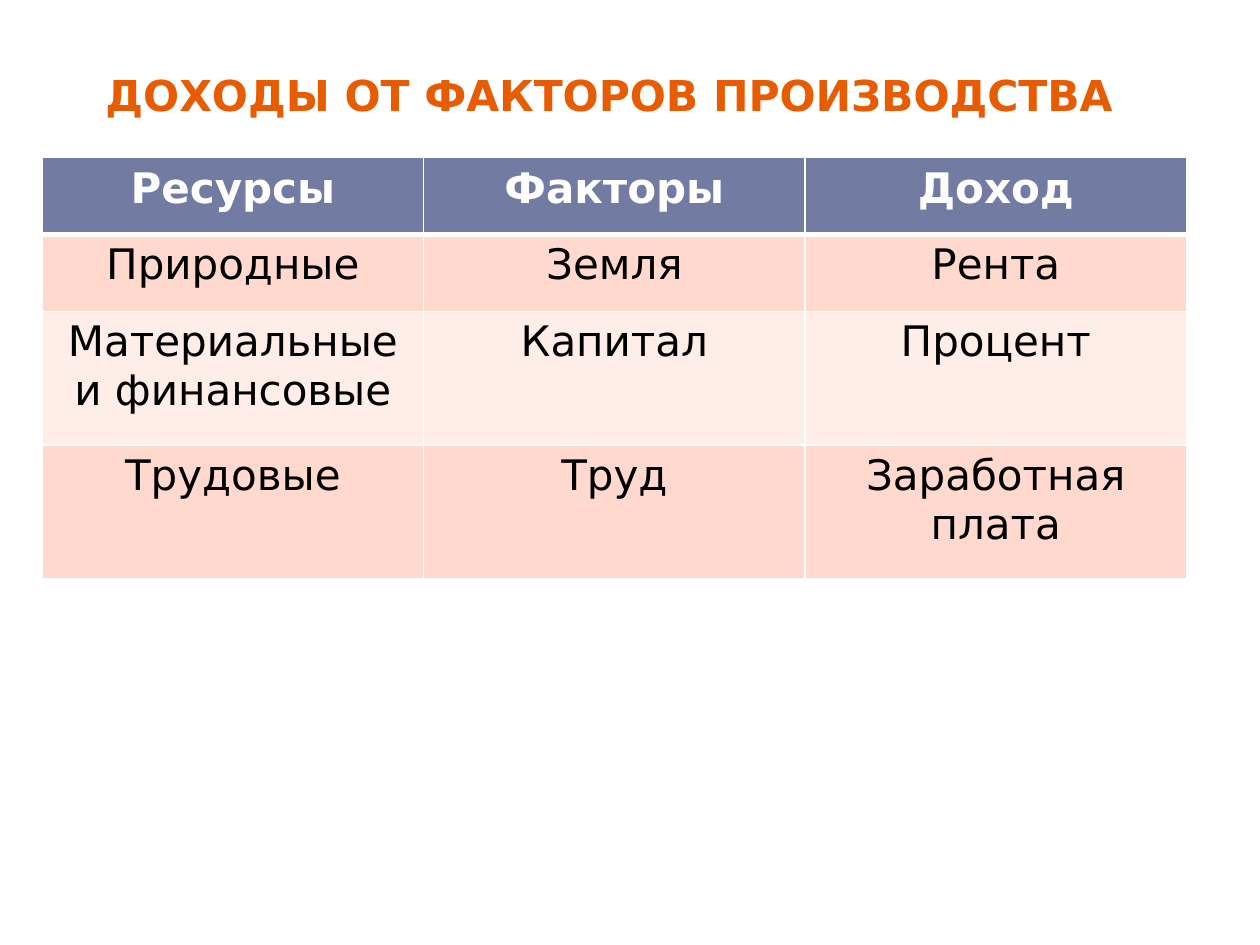
from lxml import etree
from pptx import Presentation
from pptx.dml.color import RGBColor
from pptx.enum.text import MSO_ANCHOR, MSO_AUTO_SIZE, PP_ALIGN
from pptx.oxml.ns import qn
from pptx.util import Cm, Pt

CENTER = PP_ALIGN.CENTER
BOTTOM = MSO_ANCHOR.BOTTOM
NO_FIT = MSO_AUTO_SIZE.NONE

ORANGE = RGBColor(0xE7, 0x5C, 0x01)
SLATE = RGBColor(0x72, 0x7C, 0xA3)
PINK = RGBColor(0xFF, 0xD9, 0xCE)
PALE_PINK = RGBColor(0xFF, 0xED, 0xE8)
WHITE = RGBColor(0xFF, 0xFF, 0xFF)
BLACK = RGBColor(0, 0, 0)

TITLE = "ДОХОДЫ ОТ ФАКТОРОВ ПРОИЗВОДСТВА"
ROWS = [
    ("Ресурсы", "Факторы", "Доход"),
    ("Природные", "Земля", "Рента"),
    ("Материальные и финансовые", "Капитал", "Процент"),
    ("Трудовые", "Труд", "Заработная плата"),
]
ROW_HEIGHTS = [1.55, 1.55, 2.69, 2.69]
COL_WIDTH = 7.69

FONT = "DejaVu Sans"
TITLE_FORMAT = {"name": FONT, "size": Pt(24.3), "bold": True}
HEAD_FORMAT = {"name": FONT, "size": Pt(24), "bold": True}
BODY_FORMAT = {"name": FONT, "size": Pt(24), "bold": False}


def write(tf, text, fmt, color):
    p = tf.paragraphs[0]
    p.alignment = CENTER
    r = p.add_run()
    r.text = text
    for name, value in fmt.items():
        setattr(r.font, name, value)
    r.font.color.rgb = color


def add_borders(cell, widths):
    tcPr = cell._tc.get_or_add_tcPr()
    for side, width in widths.items():
        ln = etree.SubElement(tcPr, qn(f"a:ln{side}"), w=str(Pt(width)))
        fill = etree.SubElement(ln, qn("a:solidFill"))
        etree.SubElement(fill, qn("a:srgbClr"), val=str(WHITE))


prs = Presentation()
prs.slide_width, prs.slide_height = Cm(25.4), Cm(19.05)
s = prs.slides.add_slide(prs.slide_layouts[5])

title = s.shapes.title
title.left, title.top, title.width, title.height = Cm(1.27), Cm(0.76), Cm(22.02), Cm(1.78)
tf = title.text_frame
tf.auto_size = NO_FIT
tf.vertical_anchor = BOTTOM
write(tf, TITLE, TITLE_FORMAT, ORANGE)

n_cols = len(ROWS[0])
table = s.shapes.add_table(len(ROWS), n_cols, Cm(0.85), Cm(3.18),
                           Cm(COL_WIDTH * n_cols), Cm(sum(ROW_HEIGHTS))).table
for col in table.columns:
    col.width = Cm(COL_WIDTH)

for i, (texts, height) in enumerate(zip(ROWS, ROW_HEIGHTS)):
    table.rows[i].height = Cm(height)
    head = i == 0
    fill_color = SLATE if head else (PALE_PINK, PINK)[i % 2]
    borders = {"L": 1, "R": 1, "T": 3 if i == 1 else 1, "B": 3 if head else 1}
    for j, text in enumerate(texts):
        cell = table.cell(i, j)
        write(cell.text_frame, text, HEAD_FORMAT if head else BODY_FORMAT,
              WHITE if head else BLACK)
        add_borders(cell, borders)
        cell.fill.solid()
        cell.fill.fore_color.rgb = fill_color

prs.save("out.pptx")
